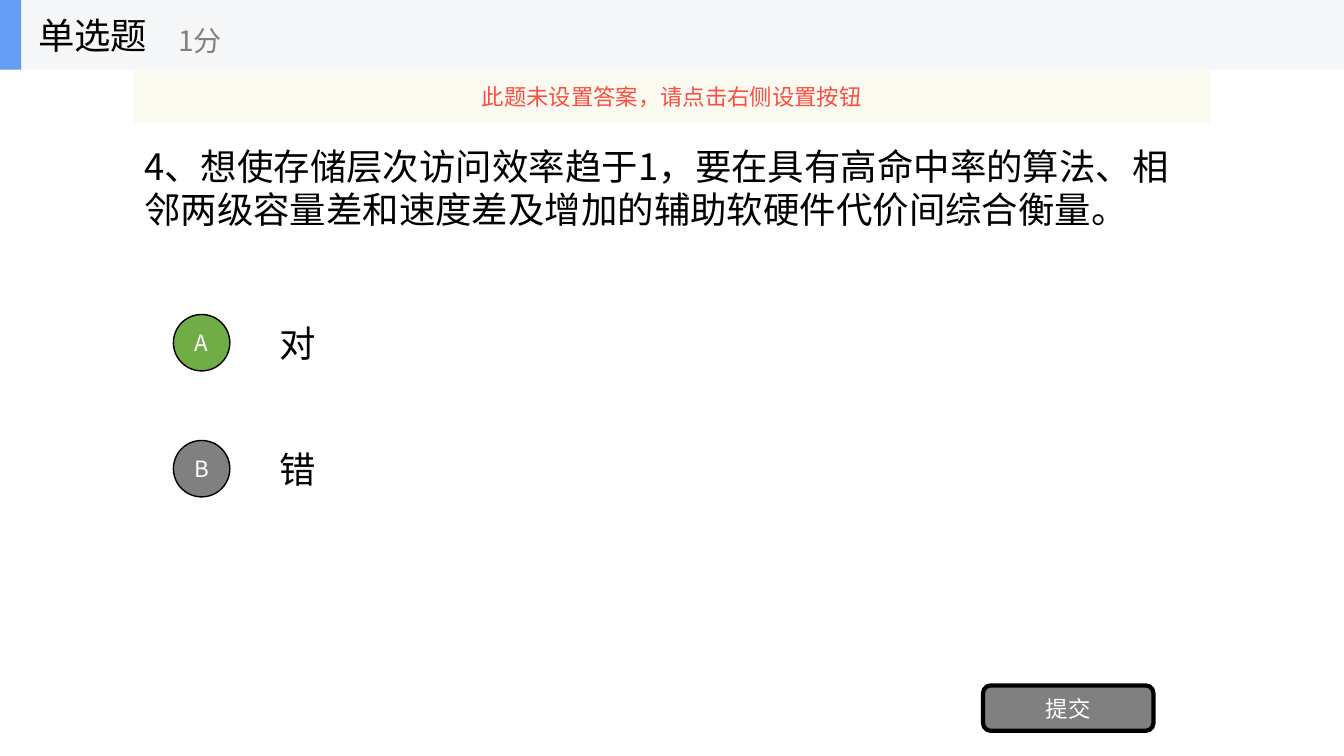
from lxml.etree import SubElement
from pptx import Presentation
from pptx.dml.color import RGBColor
from pptx.enum.shapes import MSO_SHAPE
from pptx.enum.text import MSO_ANCHOR, MSO_AUTO_SIZE, PP_ALIGN
from pptx.oxml.ns import qn
from pptx.util import Inches, Pt

BLACK = RGBColor(0x00, 0x00, 0x00)
WHITE = RGBColor(0xFF, 0xFF, 0xFF)
GRAY = RGBColor(0x80, 0x80, 0x80)
GREEN = RGBColor(0x70, 0xAD, 0x47)
BLUE = RGBColor(0x63, 0x9E, 0xF4)
PALE_GRAY = RGBColor(0xF6, 0xF7, 0xF8)
CREAM = RGBColor(0xFB, 0xFA, 0xEF)
RED = RGBColor(0xF8, 0x4F, 0x41)
FONT = "Noto Sans CJK SC"
FRAME_FORMAT = {
    "word_wrap": True,
    "auto_size": MSO_AUTO_SIZE.NONE,
    "vertical_anchor": MSO_ANCHOR.MIDDLE,
}


def write(holder, text, size, color, align=PP_ALIGN.LEFT):
    """Put one formatted line of text, centred vertically, in a shape."""
    frame = holder.text_frame
    for attribute, value in FRAME_FORMAT.items():
        setattr(frame, attribute, value)
    paragraph = frame.paragraphs[0]
    paragraph.alignment = align
    run = paragraph.add_run()
    run.text = text
    for attribute, value in {"name": FONT, "size": Pt(size)}.items():
        setattr(run.font, attribute, value)
    run.font.color.rgb = color
    SubElement(run.font._element, qn("a:ea"), typeface=FONT)


def add_label(shapes, box, text, size, color):
    """Add a text box at the given box in inches."""
    write(shapes.add_textbox(*map(Inches, box)), text, size, color)


def add_block(shapes, kind, box, fill, line_width=0):
    """Add a filled shape, outlined in black when a line width is given."""
    block = shapes.add_shape(kind, *map(Inches, box))
    block.shadow.inherit = False
    block.fill.solid()
    block.fill.fore_color.rgb = fill
    if line_width:
        block.line.color.rgb = BLACK
        block.line.width = Pt(line_width)
    else:
        block.line.fill.background()
    return block


def add_question(slide, box, text):
    """Place the question in the title placeholder."""
    question = slide.shapes.title
    for side, length in zip(("left", "top", "width", "height"), box):
        setattr(question, side, Inches(length))
    write(question, text, 26, BLACK)


def add_option(slide, box, letter, answer, fill):
    """Place a lettered circle and its answer in one row."""
    left, top, width, height = box
    size, indent = 0.56, 0.95
    add_label(slide.shapes, (left + indent, top, width - indent, height), answer, 26, BLACK)
    circle_box = (left, top + (height - size) / 2, size, size)
    circle = add_block(slide.shapes, MSO_SHAPE.OVAL, circle_box, fill, 1)
    write(circle, letter, 16, WHITE, PP_ALIGN.CENTER)


def add_submit(slide, box):
    """Place the submit button."""
    button = add_block(slide.shapes, MSO_SHAPE.ROUNDED_RECTANGLE, box, GRAY, 3)
    write(button, "提交", 16, WHITE, PP_ALIGN.CENTER)


def add_header(slide, box):
    """Place the grouped header bar with question type and score."""
    left, top, width, height = box
    shapes = slide.shapes.add_group_shape().shapes
    add_block(shapes, MSO_SHAPE.RECTANGLE, box, PALE_GRAY)
    add_block(shapes, MSO_SHAPE.RECTANGLE, (left, top, 0.21, height), BLUE)
    add_label(shapes, (left + 0.28, top, 2.08, height), "单选题", 26, BLACK)
    add_label(shapes, (left + 1.67, top + 0.12, 2.5, 0.56), "1分", 20, GRAY)


def add_notice(slide, box):
    """Place the slightly transparent notice strip."""
    notice = add_block(slide.shapes, MSO_SHAPE.RECTANGLE, box, CREAM)
    color = notice.fill._xPr.find(f"{qn('a:solidFill')}/{qn('a:srgbClr')}")
    SubElement(color, qn("a:alpha"), val="90000")
    write(notice, "此题未设置答案，请点击右侧设置按钮", 16, RED, PP_ALIGN.CENTER)


def main():
    """Build and save the question slide."""
    deck = Presentation()
    deck.slide_width, deck.slide_height = Inches(13.33), Inches(7.5)
    slide = deck.slides.add_slide(deck.slide_layouts[5])
    add_question(
        slide,
        (1.33, 0.69, 10.67, 2.34),
        "4、想使存储层次访问效率趋于1，要在具有高命中率的算法、"
        "相邻两级容量差和速度差及增加的辅助软硬件代价间综合衡量。",
    )
    options = [("A", "对", GREEN), ("B", "错", GRAY)]
    for row, (letter, answer, fill) in enumerate(options):
        add_option(slide, (1.72, 3.05 + 1.25 * row, 10.28, 0.7), letter, answer, fill)
    add_submit(slide, (9.75, 6.8, 1.69, 0.45))
    add_header(slide, (0, 0, 13.33, 0.69))
    add_notice(slide, (1.33, 0.69, 10.67, 0.53))
    deck.save("out.pptx")


if __name__ == "__main__":
    main()
